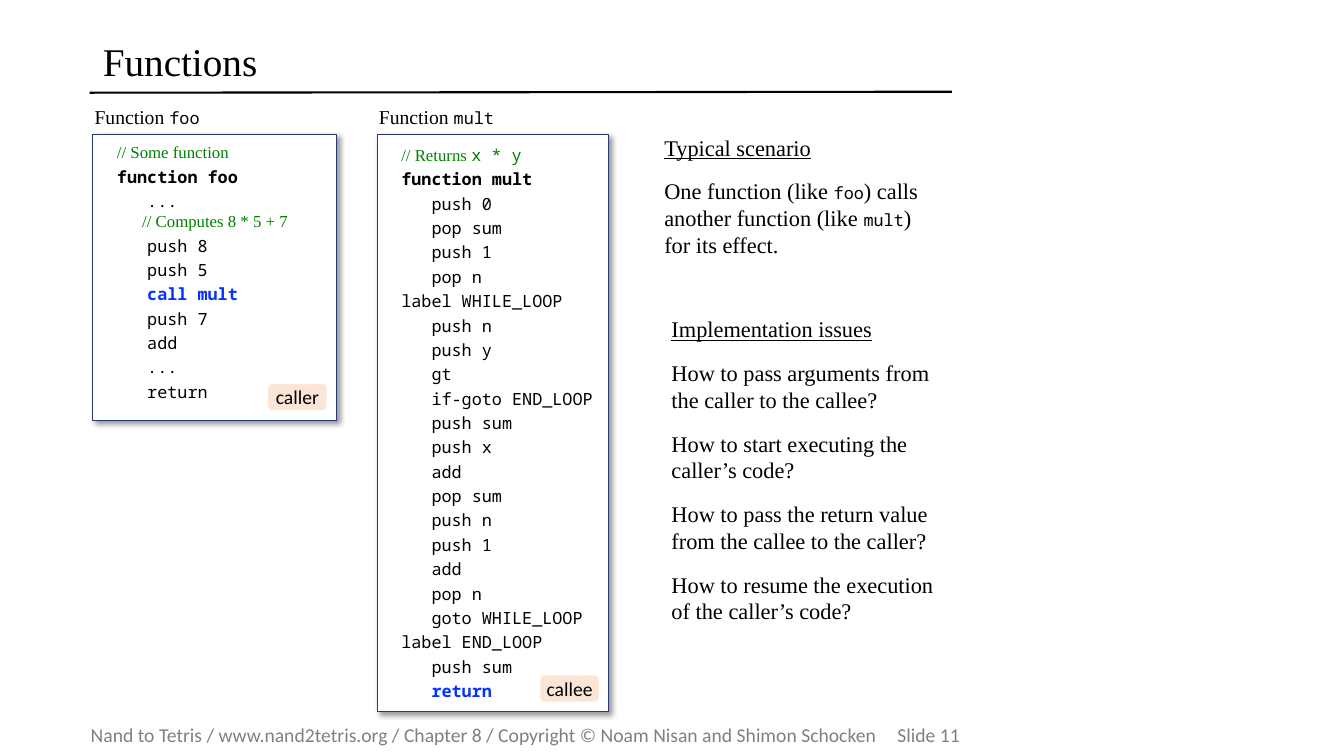
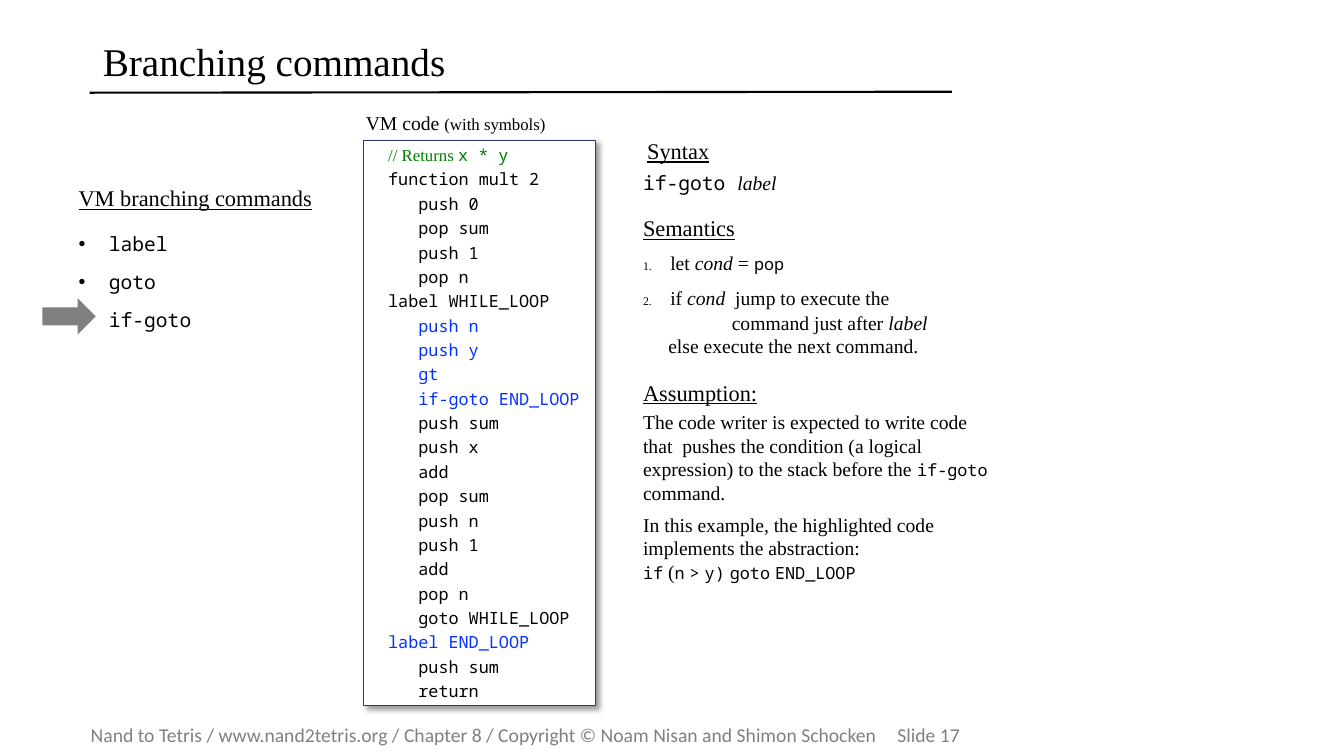
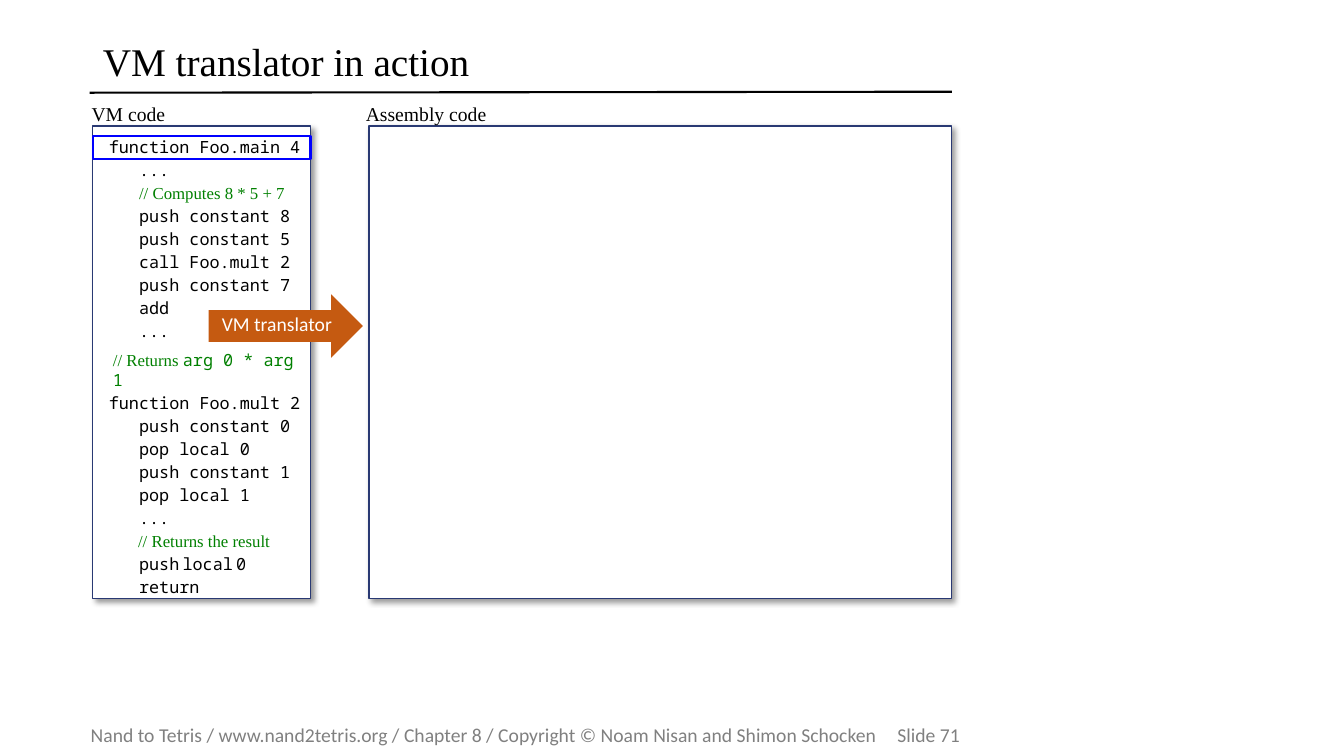
from lxml import etree
from pptx import Presentation
from pptx.dml.color import RGBColor
from pptx.enum.shapes import MSO_CONNECTOR, MSO_SHAPE
from pptx.enum.text import MSO_ANCHOR, MSO_AUTO_SIZE, PP_ALIGN
from pptx.oxml import parse_xml
from pptx.oxml.ns import nsdecls, qn
from pptx.util import Inches, Pt

TOP, MID = MSO_ANCHOR.TOP, MSO_ANCHOR.MIDDLE
LEFT, CENTER = PP_ALIGN.LEFT, PP_ALIGN.CENTER
RECT, ARROW = MSO_SHAPE.RECTANGLE, MSO_SHAPE.RIGHT_ARROW
BUBBLE = MSO_SHAPE.ROUNDED_RECTANGULAR_CALLOUT

COLORS = {
    "ink": "000000", "paper": "FFFFFF", "gray": "808080", "edge": "293973",
    "note": "008000", "hot": "0432FF", "peach": "FBE5D6", "rust": "C55A11",
    "frame": "0000FF",
}
SERIF, MONO, SANS = "Times New Roman", "Noto Sans Mono", "Calibri"

# Run styles: font, size, colour, then b(old), i(talic), u(nderline)
STYLES = {
    "title": (SERIF, 28, "ink", ""),
    "head": (SERIF, 16, "ink", "u"),
    "body": (SERIF, 16, "ink", ""),
    "text": (SERIF, 14, "ink", ""),
    "ital": (SERIF, 14, "ink", "i"),
    "small": (SERIF, 12, "ink", ""),
    "thin": (SERIF, 9, "ink", ""),
    "note": (SERIF, 12, "note", ""),
    "sign": (MONO, 12, "note", ""),
    "code": (MONO, 12, "ink", ""),
    "bold": (MONO, 12, "ink", "b"),
    "blue": (MONO, 12, "hot", ""),
    "call": (MONO, 12, "hot", "b"),
    "term": (MONO, 14, "ink", ""),
    "foot": (SANS, 14, "gray", ""),
    "tag": (SANS, 14, "ink", ""),
    "flow": (SANS, 14, "paper", ""),
}


def rgb(name):
    return RGBColor.from_string(COLORS[name])


def para(*runs, **opts):
    """A paragraph: (style, text) runs; opts are gap, left, mark, align, line, tab."""
    return runs, opts


def lines(style, *texts, **opts):
    return [para((style, text), **opts) for text in texts]


def place(shape, box):
    shape.left, shape.top, shape.width, shape.height = map(Inches, box)


def mark(par, left, kind):
    """Set the hanging indent and the bullet of a paragraph."""
    props = par._p.get_or_add_pPr()
    props.set("marL", str(Inches(left)))
    props.set("indent", str(-Inches(left) if kind else 0))
    if kind == "num":
        size = etree.SubElement(props, qn("a:buSzPct"))
        size.set("val", "60000")
        auto = etree.SubElement(props, qn("a:buAutoNum"))
        auto.set("type", "arabicPeriod")
    elif kind:
        etree.SubElement(props, qn("a:buChar")).set("char", kind)
    else:
        etree.SubElement(props, qn("a:buNone"))


def write(shape, pars, inset=(0.1, 0.05, 0.1, 0.05), anchor=TOP):
    frame = shape.text_frame
    frame.word_wrap = True
    frame.auto_size = MSO_AUTO_SIZE.NONE
    frame.vertical_anchor = anchor
    (frame.margin_left, frame.margin_top,
     frame.margin_right, frame.margin_bottom) = map(Inches, inset)
    for num, (runs, opts) in enumerate(pars):
        par = frame.add_paragraph() if num else frame.paragraphs[0]
        par.alignment = opts.get("align", LEFT)
        par.line_spacing = opts.get("line", 1.0)
        par.space_before = Pt(opts.get("gap", 0) if num else 0)
        par.space_after = Pt(0)
        mark(par, opts.get("left", 0), opts.get("mark"))
        if "tab" in opts:
            tabs = etree.SubElement(par._p.pPr, qn("a:tabLst"))
            stop = etree.SubElement(tabs, qn("a:tab"))
            stop.set("pos", str(Inches(opts["tab"])))
            stop.set("algn", "l")
        for style, text in runs:
            run = par.add_run()
            run.text = text
            face, size, color, flags = STYLES[style]
            font = run.font
            font.name, font.size = face, Pt(size)
            font.color.rgb = rgb(color)
            font.bold, font.italic = "b" in flags, "i" in flags
            font.underline = "u" in flags


def note(slide, box, pars, **opts):
    write(slide.shapes.add_textbox(*map(Inches, box)), pars, **opts)


def block(slide, kind, box, fill=None, edge=None, width=0.75):
    shape = slide.shapes.add_shape(kind, *map(Inches, box))
    shape.shadow.inherit = False
    if fill:
        shape.fill.solid()
        shape.fill.fore_color.rgb = rgb(fill)
    else:
        shape.fill.background()
    if edge:
        shape.line.color.rgb = rgb(edge)
        shape.line.width = Pt(width)
    else:
        shape.line.fill.background()
    return shape


def effects(shape, inner=""):
    props = shape._element.spPr
    for old in props.findall(qn("a:effectLst")):
        props.remove(old)
    props.append(parse_xml(
        f"<a:effectLst {nsdecls('a')}>{inner}</a:effectLst>"))


def start(deck, layout, title, num):
    """Title, rule and footer shared by all slides."""
    slide = deck.slides.add_slide(deck.slide_layouts[layout])
    head = slide.shapes.title
    place(head, (0.92, 0.32, 8.53, 0.63))
    write(head, [para(("title", title), line=0.9)], anchor=MID)
    rule = slide.shapes.add_connector(
        MSO_CONNECTOR.STRAIGHT, *map(Inches, (0.89, 0.92, 9.44, 0.91)))
    rule.line.color.rgb = rgb("ink")
    rule.line.width = Pt(1.5)
    effects(rule)
    foot = ("Nand to Tetris / www.nand2tetris.org / Chapter 8 / "
            "Copyright © Noam Nisan and Shimon Schocken")
    note(slide, (0.9, 7.12, 12.25, 0.34),
         [para(("foot", f"{foot}\tSlide {num}"), tab=10.56)],
         inset=(0, 0.05, 0, 0.05), anchor=MID)
    return slide


def panel(slide, box, label, pars=(), shift=(0.08, 0.34), tag=None, **opts):
    """A shadowed code box, its label above and a tag in its corner."""
    x, y, wide, high = box
    shape = block(slide, RECT, box, "paper", "edge")
    effects(shape, '<a:outerShdw blurRad="50800" dist="38100" dir="2700000" '
            'algn="tl" rotWithShape="0"><a:srgbClr val="000000">'
            '<a:alpha val="40000"/></a:srgbClr></a:outerShdw>')
    if pars:
        write(shape, pars, **opts)
    note(slide, (x - shift[0], y - shift[1], 2.4, 0.42), [label])
    if tag:
        badge = block(slide, BUBBLE,
                      (x + wide - 0.68, y + high - 0.36, 0.58, 0.26), "peach")
        for num, value in enumerate((0.09, -0.48, 0.17)):
            badge.adjustments[num] = value
        write(badge, [para(("tag", tag), align=CENTER)],
              inset=(0, 0, 0, 0), anchor=MID)


MULT = """   push 0
   pop sum
   push 1
   pop n
label WHILE_LOOP
   push n
   push y
   gt
   if-goto END_LOOP
   push sum
   push x
   add
   pop sum
   push n
   push 1
   add
   pop n
   goto WHILE_LOOP
label END_LOOP
   push sum
   return""".split("\n")


def mult(head, marks):
    """The mult listing; marks gives styles to lines, counted from the head."""
    code = [para(("note", "// Returns "), ("sign", "x * y"))]
    for num, text in enumerate([head] + MULT):
        code += lines(marks.get(num, "code"), text, gap=3)
    return code


MULT_FIT = {"inset": (0.24, 0.21, 0.1, 0.21), "anchor": MID}


def functions(deck):
    slide = start(deck, 1, "Functions", 11)
    foo = (lines("note", "// Some function")
           + lines("bold", "function foo", gap=3)
           + lines("code", "   ...", gap=3)
           + lines("note", "// Computes 8 * 5 + 7", left=0.25)
           + lines("code", "   push 8", "   push 5", gap=3)
           + lines("call", "   call mult", gap=3)
           + lines("code", "   push 7", "   add", "   ...", "   return", gap=3))
    panel(slide, (0.92, 1.33, 2.42, 2.84),
          para(("text", "Function "), ("code", "foo")), foo, tag="caller",
          inset=(0.24, 0.08, 0.1, 0))
    panel(slide, (3.74, 1.33, 2.3, 5.73),
          para(("text", "Function "), ("code", "mult")),
          mult("function mult", {0: "bold", 21: "call"}), tag="callee",
          **MULT_FIT)
    # Scenario and issues
    note(slide, (6.49, 1.28, 2.88, 1.47), [
        para(("head", "Typical scenario")),
        para(("body", "One function (like "), ("code", "foo"),
             ("body", ") calls another function (like "), ("code", "mult"),
             ("body", ") for its effect."), gap=12)])
    body = slide.placeholders[1]
    place(body, (6.56, 3.08, 2.84, 3.7))
    write(body, lines("head", "Implementation issues") + lines(
        "body", "How to pass arguments from the caller to the callee?",
        "How to start executing the caller’s code?",
        "How to pass the return value from the callee to the caller?",
        "How to resume the execution of the caller’s code?", gap=12))


def branching(deck):
    slide = start(deck, 1, "Branching commands", 17)
    # Command list with its pointer
    body = slide.placeholders[1]
    place(body, (0.68, 1.78, 2.8, 2.15))
    write(body, lines("head", "VM branching commands")
          + lines("term", "label", gap=15, left=0.3, mark="•")
          + lines("term", "goto", "if-goto", gap=10, left=0.3, mark="•"))
    block(slide, ARROW, (0.42, 2.96, 0.53, 0.36), "gray")
    panel(slide, (3.61, 1.39, 2.3, 5.61),
          para(("text", "VM code "), ("small", "(with symbols)")),
          mult("function mult 2", dict.fromkeys((6, 7, 8, 9, 19), "blue")),
          **MULT_FIT)
    # Syntax, semantics and assumption
    note(slide, (6.32, 1.31, 3.52, 0.42), lines("head", "Syntax"))
    note(slide, (6.28, 1.65, 5.16, 2.08), [
        para(("term", "if-goto "), ("ital", "label")),
        para(("head", "Semantics"), gap=14),
        para(("text", "let "), ("ital", "cond"), ("text", " = "),
             ("code", "pop"), gap=7, left=0.27, mark="num"),
        para(("text", "if "), ("ital", "cond"),
             ("text", "  jump to execute the"), gap=8, left=0.27, mark="num"),
        para(("text", "command just after "), ("ital", "label"),
             gap=1, left=0.88),
        para(("text", "else execute the next command."), left=0.25)])
    note(slide, (6.28, 3.71, 3.67, 2.2), [
        para(("head", "Assumption:")),
        para(("text", "The code writer is expected to write code that  pushes "
              "the condition (a logical expression) to the stack before the "),
             ("code", "if-goto"), ("text", " command."), gap=3),
        para(("text", "In this example, the highlighted code implements "
              "the abstraction:"), gap=6),
        para(("code", "if"), ("text", " ("), ("code", "n"), ("text", " "),
             ("code", ">"), ("text", " "), ("code", "y)"), ("text", " "),
             ("code", "goto"), ("text", " "), ("code", "END_LOOP"))])


def action(deck):
    slide = start(deck, 5, "VM translator in action", 71)
    x, y, wide, high = box = (0.92, 1.25, 2.16, 4.69)
    code = (lines("code", "function Foo.main 4", "   ...", gap=2)
            + lines("note", "// Computes 8 * 5 + 7", gap=2, left=0.3)
            + lines("code", "   push constant 8", "   push constant 5",
                    "   call Foo.mult 2", "   push constant 7", "   add",
                    "   ...", gap=2)
            + [para(("note", "// Returns "), ("sign", "arg 0 * arg 1"),
                    gap=6, left=0.04)]
            + lines("code", "function Foo.mult 2", "   push constant 0",
                    "   pop local 0", "   push constant 1", "   pop local 1",
                    "   ...", gap=2)
            + lines("note", "// Returns the result", gap=2, left=0.29)
            + [para(("code", "   push"), ("thin", " "), ("code", "local"),
                    ("thin", " "), ("code", "0"), gap=2)]
            + lines("code", "   return", gap=2))
    panel(slide, box, para(("text", "VM code")), code, shift=(0.11, 0.29),
          inset=(0.16, 0.11, 0, 0))
    panel(slide, (3.66, y, 5.78, high), para(("text", "Assembly code")),
          shift=(0.13, 0.29))
    # Translator arrow and current line
    arrow = block(slide, ARROW, (2.07, 2.92, 1.53, 0.63), "rust")
    write(arrow, [para(("flow", "VM translator"), align=CENTER)],
          inset=(0.08, 0, 0.1, 0.05), anchor=MID)
    block(slide, RECT, (x, y + 0.1, wide, 0.23), edge="frame", width=1.5)


def main():
    deck = Presentation()
    deck.slide_width, deck.slide_height = Inches(13.33), Inches(7.5)
    functions(deck)
    branching(deck)
    action(deck)
    deck.save("out.pptx")


if __name__ == "__main__":
    main()
